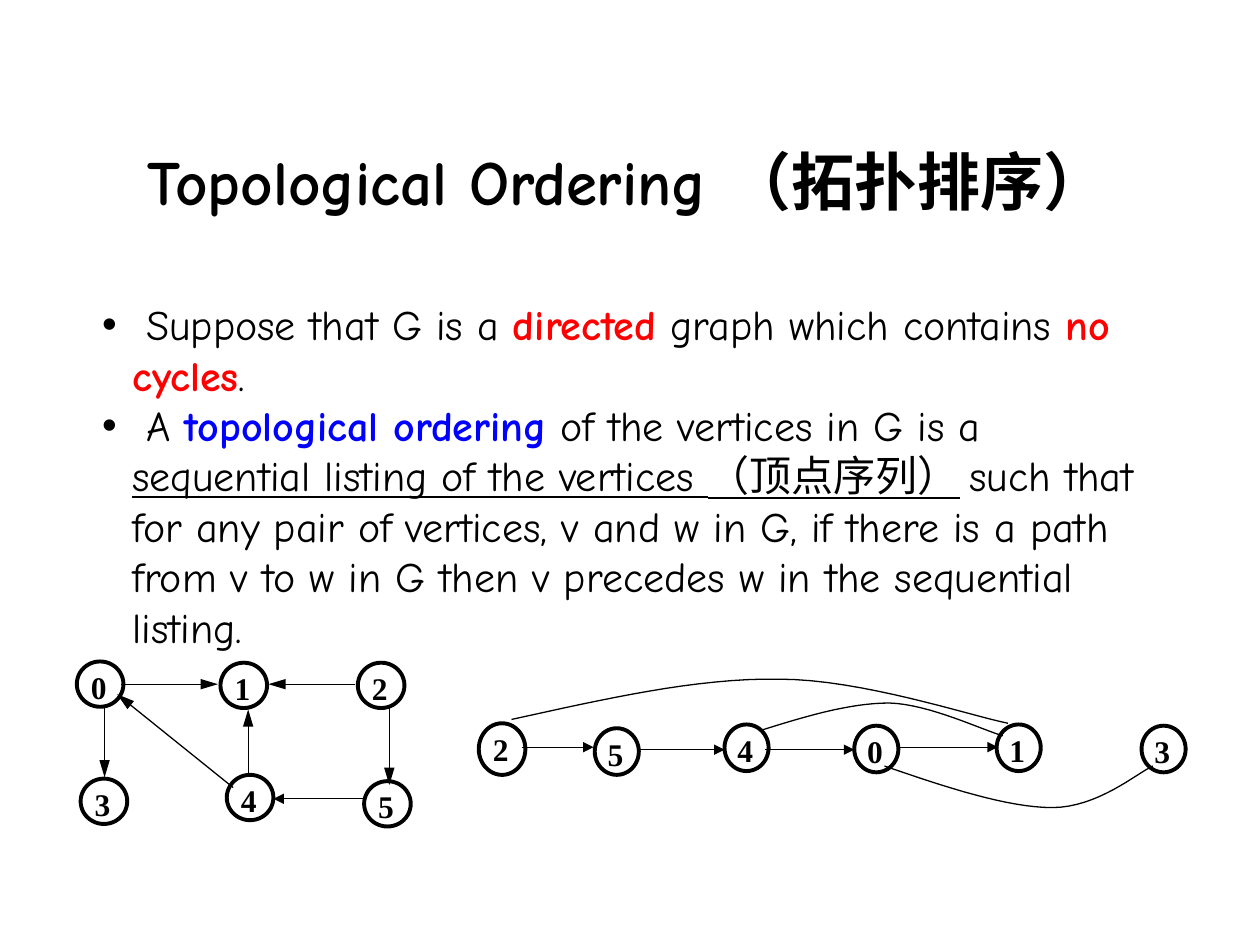
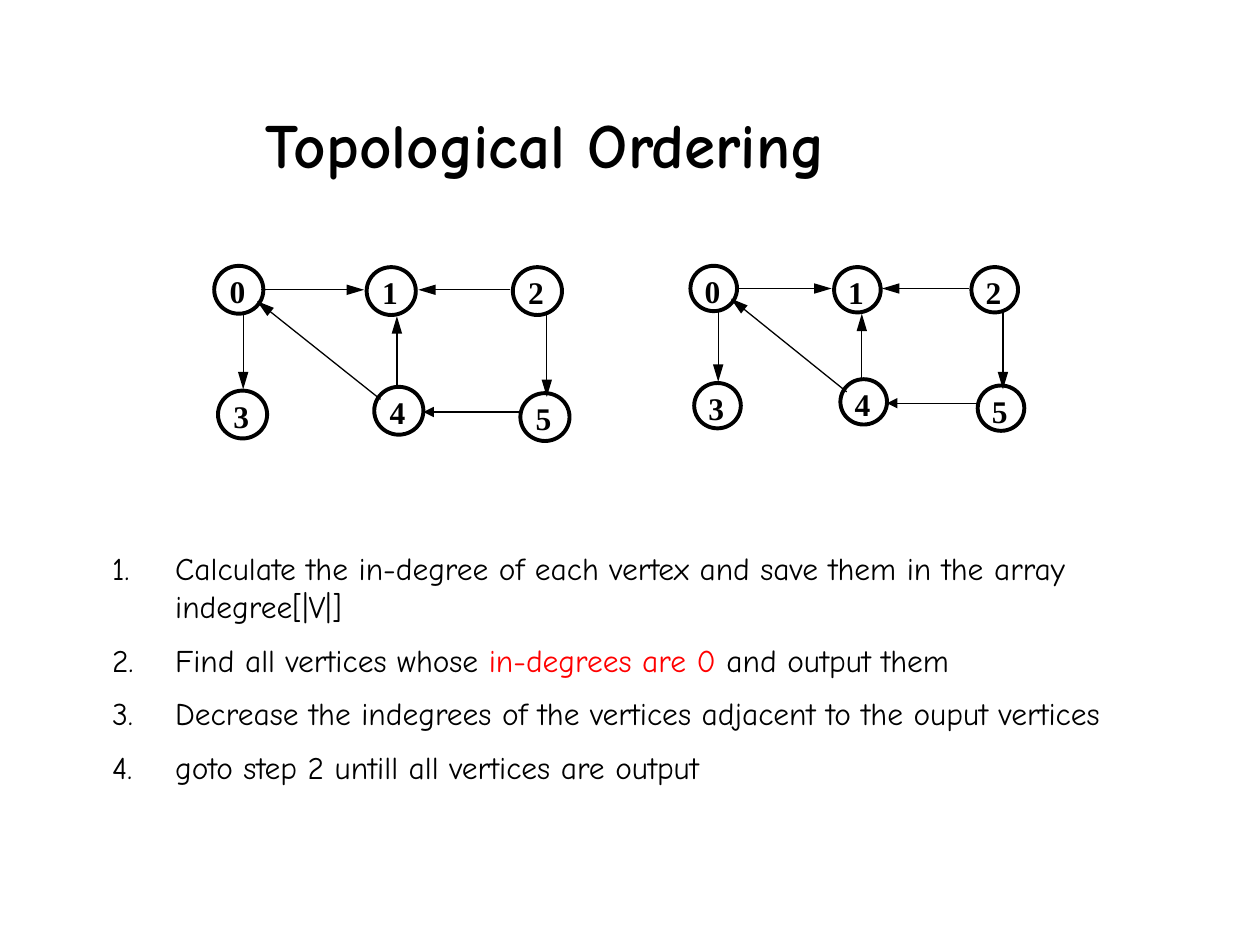
from dataclasses import dataclass

from lxml import etree
from pptx import Presentation
from pptx.dml.color import RGBColor
from pptx.enum.shapes import MSO_CONNECTOR, MSO_SHAPE
from pptx.enum.text import MSO_ANCHOR, MSO_AUTO_SIZE, PP_ALIGN
from pptx.oxml.ns import qn
from pptx.util import Pt

LEFT, CENTER = PP_ALIGN.LEFT, PP_ALIGN.CENTER
TOP, BOTTOM = MSO_ANCHOR.TOP, MSO_ANCHOR.BOTTOM
NO_FIT = MSO_AUTO_SIZE.NONE
OVAL, STRAIGHT = MSO_SHAPE.OVAL, MSO_CONNECTOR.STRAIGHT
PX = 9144  # EMU per px, 100 px to the inch


@dataclass(frozen=True)
class Theme:
    black: str = "000000"
    red: str = "FF0000"
    blue: str = "0000FF"
    font: str = "Comic Neue"
    label_font: str = "Times New Roman"
    title: int = 36
    body: int = 24
    small: int = 18
    node_line: float = 2.25
    edge_line: float = 0.75


T = Theme()


def write(p, text, size=T.body, color=T.black, font=T.font, bold=False, underline=False):
    r = p.add_run()
    r.text = text
    f = r.font
    f.size, f.name, f.bold, f.underline = Pt(size), font, bold, underline
    f.color.rgb = RGBColor.from_string(color)


def outline(shape, width, arrow=None):
    shape.line.color.rgb = RGBColor.from_string(T.black)
    shape.line.width = Pt(width)
    sp_pr = shape._element.spPr
    if arrow:
        etree.SubElement(sp_pr.find(qn("a:ln")), qn("a:tailEnd"), type="triangle", w="med", len=arrow)
    etree.SubElement(sp_pr, qn("a:effectLst"))


# Directed graph, relative to its top-left corner
NODE_W, NODE_H = 37, 36
NODES = [("0", 0, 0), ("1", 114, 1), ("2", 223, 1), ("3", 3, 93), ("4", 119, 90), ("5", 228, 95)]
EDGES = [
    (22, 36, 22, 92, "lg"),
    (35, 18, 112, 18, "lg"),
    (124, 100, 32, 26, "lg"),
    (136, 90, 136, 38, "lg"),
    (229, 109, 156, 109, "med"),
    (248, 36, 248, 98, "lg"),
    (221, 18, 152, 18, "lg"),
]

# Vertices in topological order: label, left, top, width, height
CHAIN = [
    ("2", 380, 574, 37, 41), ("5", 472, 578, 35, 37), ("4", 575, 575, 35, 37),
    ("0", 678, 576, 35, 37), ("1", 791, 575, 35, 37), ("3", 906, 576, 35, 37),
]
CHAIN_EDGES = [
    (414, 593, 471, 593, "med"), (507, 595, 575, 595, "med"),
    (607, 595, 678, 595, "med"), (712, 593, 792, 593, "med"),
]
# Bezier curves: a start, then two controls and an end per segment
ARCS = [
    [(406, 571), (479, 555), (552, 538), (618, 539), (684, 539), (770, 568), (800, 574)],
    [(702, 608), (751, 625), (800, 641), (835, 641), (871, 641), (902, 614), (915, 608)],
    [(603, 580), (638, 569), (674, 558), (706, 558), (738, 559), (781, 580), (796, 584)],
]
ARC_STEPS = 16

SLIDES = [
    dict(
        title="Topological Ordering （拓扑排序）", title_at=(107, 73, 821, 105),
        body_at=(71, 232, 857, 290), size=T.body, indent=24, gap=0,
        bullet=("buChar", {"char": "•"}), bullet_font="Arial",
        body=[
            [(" Suppose that G is a ", {}), ("directed", dict(color=T.red, bold=True)),
             (" graph which contains ", {}), ("no cycles", dict(color=T.red, bold=True)), (".", {})],
            [(" A ", {}), ("topological ordering", dict(color=T.blue, bold=True)),
             (" of the vertices in G is a ", {}),
             ("sequential listing of the vertices （顶点序列）", dict(underline=True)),
             (" such that for any pair of vertices, v and w in G, if there is a path from v to w "
              "in G then v precedes w in the sequential listing.", {})],
        ],
        graphs=[(61, 525, 1)], chain=CHAIN, chain_edges=CHAIN_EDGES, arcs=ARCS,
    ),
    dict(
        title="Topological Ordering", title_at=(201, 76, 660, 73),
        body_at=(79, 431, 829, 198), size=T.small, indent=50, gap=9,
        bullet=("buAutoNum", {"type": "arabicPeriod"}), bullet_font=T.font,
        body=[
            [("Calculate the in-degree of each vertex and save them in the array indegree[|V|]", {})],
            [("Find all vertices whose ", {}), ("in-degrees are 0", dict(color=T.red)),
             (" and output them", {})],
            [("Decrease the indegrees of the vertices adjacent to the ouput vertices", {})],
            [("goto step 2 untill all vertices are output", {})],
        ],
        graphs=[(170, 211, 1.065), (548, 211, 1)], chain=[], chain_edges=[], arcs=[],
    ),
]

prs = Presentation()
prs.slide_width, prs.slide_height = 1000 * PX, 750 * PX

for spec_ in SLIDES:
    s = prs.slides.add_slide(prs.slide_layouts[1])
    title, body = s.shapes.title, s.placeholders[1]

    # Title and body frames
    for sp, at, anchor in ((title, spec_["title_at"], BOTTOM), (body, spec_["body_at"], TOP)):
        sp.left, sp.top, sp.width, sp.height = (v * PX for v in at)
        tf = sp.text_frame
        tf.word_wrap, tf.auto_size, tf.vertical_anchor = True, NO_FIT, anchor
    p = title.text_frame.paragraphs[0]
    p.alignment = LEFT
    write(p, spec_["title"], size=T.title, bold=True)

    # List
    tf = body.text_frame
    tag, attrs = spec_["bullet"]
    for i, runs in enumerate(spec_["body"]):
        p = tf.add_paragraph() if i else tf.paragraphs[0]
        pPr = p._p.get_or_add_pPr()
        pPr.set("marL", str(spec_["indent"] * PX))
        pPr.set("indent", str(-spec_["indent"] * PX))
        etree.SubElement(pPr, qn("a:buFont"), typeface=spec_["bullet_font"])
        etree.SubElement(pPr, qn("a:" + tag), **attrs)
        p.alignment, p.line_spacing = LEFT, 1.0
        p.space_before = Pt(spec_["gap"] if i else 0)
        for text, fmt in runs:
            write(p, text, size=spec_["size"], **fmt)

    # Place the graphs beside the chain
    nodes, edges = list(spec_["chain"]), list(spec_["chain_edges"])
    for x0, y0, k in spec_["graphs"]:
        nodes += [(n, x0 + round(x * k), y0 + round(y * k), round(NODE_W * k), round(NODE_H * k))
                  for n, x, y in NODES]
        edges += [(x0 + round(x1 * k), y0 + round(y1 * k), x0 + round(x2 * k), y0 + round(y2 * k), head)
                  for x1, y1, x2, y2, head in EDGES]

    # Vertices with their numbers
    for label, x, y, w, h in nodes:
        sp = s.shapes.add_shape(OVAL, x * PX, y * PX, w * PX, h * PX)
        sp.fill.background()
        outline(sp, T.node_line)
        tb = s.shapes.add_textbox((x + (w - 14) // 2) * PX, (y + 5) * PX, 13 * PX, 30 * PX)
        tf = tb.text_frame
        tf.word_wrap, tf.auto_size = False, NO_FIT
        tf.margin_left = tf.margin_right = tf.margin_top = tf.margin_bottom = 0
        p = tf.paragraphs[0]
        p.alignment = CENTER
        write(p, label, size=T.small, font=T.label_font, bold=True)

    # Edges
    for x1, y1, x2, y2, head in edges:
        c = s.shapes.add_connector(STRAIGHT, x1 * PX, y1 * PX, x2 * PX, y2 * PX)
        outline(c, T.edge_line, arrow=head)

    # Curved edges
    for arc in spec_["arcs"]:
        points = []
        for i in range(0, len(arc) - 1, 3):
            a, b, c, d = arc[i:i + 4]
            for step in range(1, ARC_STEPS + 1):
                t = step / ARC_STEPS
                u = 1 - t
                points.append([PX * (u**3 * a[j] + 3 * u * u * t * b[j] + 3 * u * t * t * c[j] + t**3 * d[j])
                               for j in (0, 1)])
        fb = s.shapes.build_freeform(arc[0][0] * PX, arc[0][1] * PX)
        fb.add_line_segments(points, close=False)
        sp = fb.convert_to_shape()
        sp.fill.background()
        outline(sp, T.edge_line)

prs.save("out.pptx")
